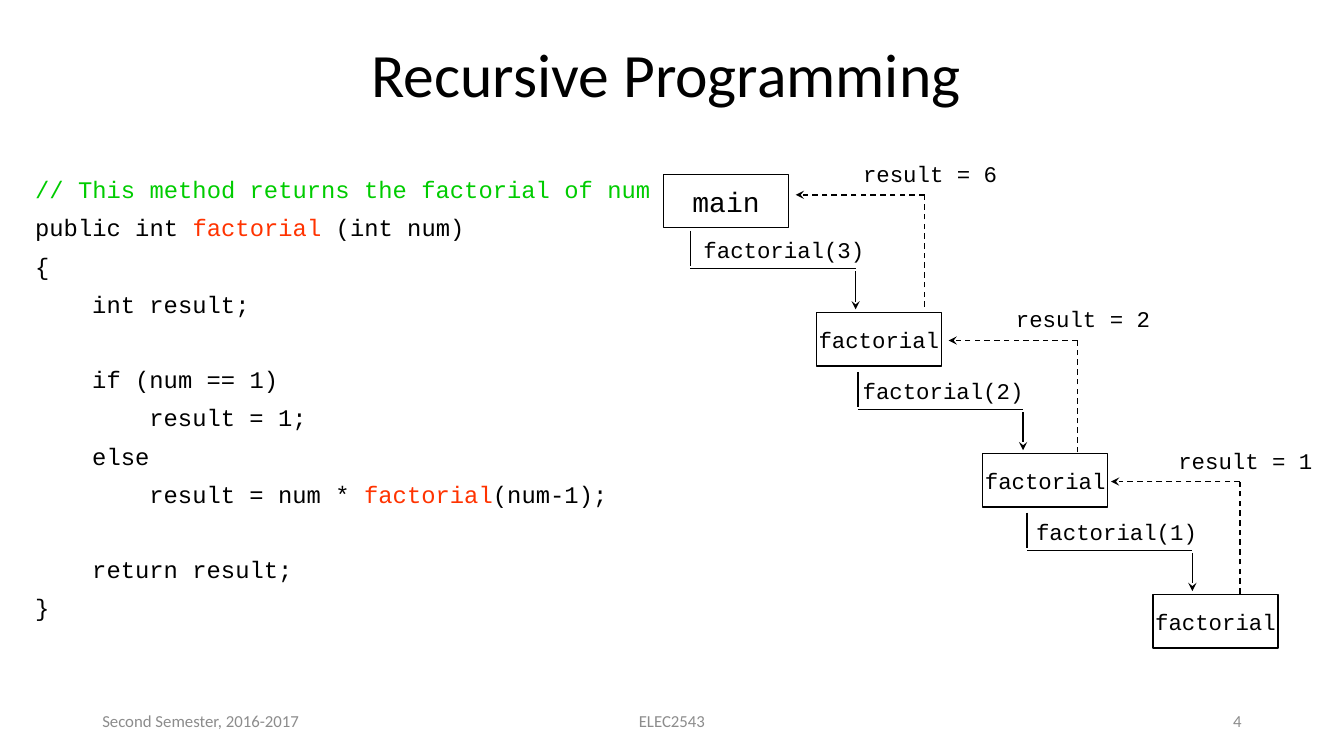
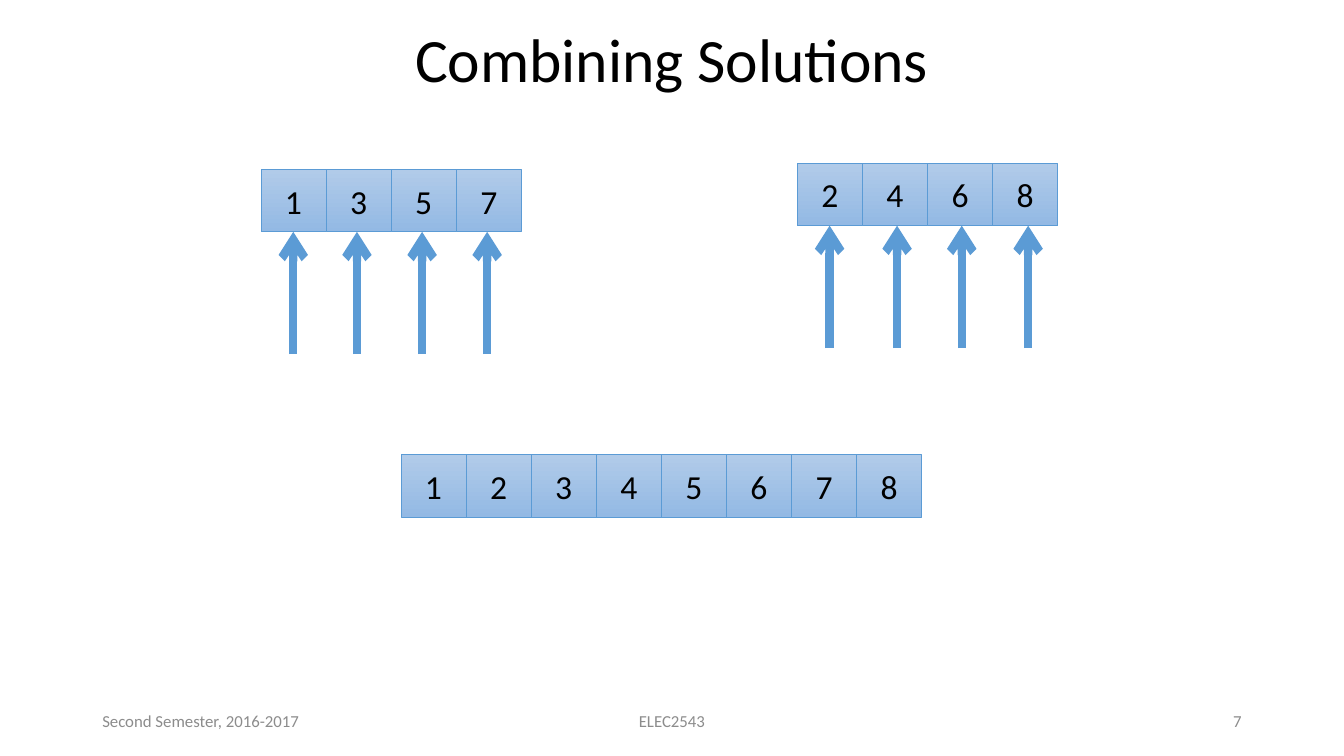
"""Build two lecture slides on recursion: a factorial call trace and a merge of sorted halves."""

from dataclasses import dataclass
from typing import NamedTuple, Optional

import lxml.etree
import pptx
import pptx.dml.color
import pptx.enum.dml
import pptx.enum.shapes
import pptx.enum.text
import pptx.oxml.ns
import pptx.shapes.autoshape
import pptx.shapes.connector
import pptx.shapes.shapetree
import pptx.slide
import pptx.text.text
import pptx.util

Pt = pptx.util.Pt
ALIGN = pptx.enum.text.PP_ALIGN
ANCHOR = pptx.enum.text.MSO_ANCHOR
DASH = pptx.enum.dml.MSO_LINE.DASH
RECTANGLE = pptx.enum.shapes.MSO_SHAPE.RECTANGLE
Shapes = pptx.shapes.shapetree.GroupShapes

SANS, MONO = "Calibri", "Courier New"
BLACK, GRAY, GREEN, RED, BLUE = "000000", "8C8C8C", "00CC00", "FF3300", "5B9BD5"
CELL_TOP, CELL_BOTTOM = "B1CBE9", "93B9E4"

CODE_SIZE = 17
CODE_INDENT = 40.8
LINE_GAP, BLANK_LINE_GAP = 11, 37.4
FRAME_WIDTH, FRAME_HEIGHT = 89.3, 38.2
CELL_WIDTH, CELL_HEIGHT = 46.5, 44.6


class Box(NamedTuple):
    left: float
    top: float
    width: float
    height: float


class Point(NamedTuple):
    x: float
    y: float


@dataclass(frozen=True)
class TextStyle:
    size: float
    font: str = SANS
    color: str = BLACK


@dataclass(frozen=True)
class LineStyle:
    color: str = BLACK
    width: float = 1
    dash: Optional[pptx.enum.dml.MSO_LINE] = None
    arrowhead: str = ""


@dataclass(frozen=True)
class CodeLine:
    level: int
    runs: tuple[tuple[str, str], ...]
    after_blank: bool = False


@dataclass(frozen=True)
class Frame:
    name: str
    left: float
    top: float
    size: float = 16


@dataclass(frozen=True)
class Call:
    text: str
    start: Point
    label_left: float


@dataclass(frozen=True)
class Return:
    text: str
    corner: Point


@dataclass(frozen=True)
class NumberRow:
    numbers: tuple[int, ...]
    left: float
    top: float
    arrow_positions: tuple[float, ...] = ()


TITLE_STYLE = TextStyle(44)
FOOTER_STYLE = TextStyle(12, color=GRAY)
LABEL_STYLE = TextStyle(16, MONO)
NUMBER_STYLE = TextStyle(24)
SOLID = LineStyle()
CALL_ARROW = LineStyle(arrowhead="stealth")
DASHED = LineStyle(dash=DASH)
RETURN_ARROW = LineStyle(dash=DASH, arrowhead="stealth")
POINTER = LineStyle(BLUE, 6, arrowhead="arrow")

CODE = (
    CodeLine(0, (("// This method returns the factorial of num", GREEN),)),
    CodeLine(0, (("public int ", BLACK), ("factorial ", RED), ("(int num)", BLACK))),
    CodeLine(0, (("{", BLACK),)),
    CodeLine(1, (("int result;", BLACK),)),
    CodeLine(1, (("if (num == 1)", BLACK),), after_blank=True),
    CodeLine(2, (("result = 1;", BLACK),)),
    CodeLine(1, (("else", BLACK),)),
    CodeLine(2, (("result = num * ", BLACK), ("factorial", RED), ("(num-1);", BLACK))),
    CodeLine(1, (("return result;", BLACK),), after_blank=True),
    CodeLine(0, (("}", BLACK),)),
)
FRAMES = (
    Frame("main", 474, 124.5, 20),
    Frame("factorial", 583.2, 223.2),
    Frame("factorial", 702, 324),
    Frame("factorial", 823.6, 424.8),
)
CALLS = (
    Call("factorial(3)", Point(493.2, 165), 495.4),
    Call("factorial(2)", Point(612.8, 265.6), 609.1),
    Call("factorial(1)", Point(733.7, 366.2), 733),
)
RETURNS = (
    Return("result = 6", Point(660.4, 139.2)),
    Return("result = 2", Point(769.6, 243.2)),
    Return("result = 1", Point(885.6, 344)),
)
NUMBER_ROWS = (
    NumberRow((1, 3, 5, 7), 186.4, 121, (209.5, 255, 301.5, 348)),
    NumberRow((2, 4, 6, 8), 569.5, 116.6, (592.6, 640.8, 687, 734.4)),
    NumberRow((1, 2, 3, 4, 5, 6, 7, 8), 286.4, 324.8),
)


def rgb(color: str) -> pptx.dml.color.RGBColor:
    return pptx.dml.color.RGBColor.from_string(color)


def lengths(box: Box) -> tuple[pptx.util.Length, ...]:
    return tuple(Pt(value) for value in box)


def add_run(paragraph: pptx.text.text._Paragraph, text: str, style: TextStyle) -> None:
    run = paragraph.add_run()
    run.text = text
    run.font.name = style.font
    run.font.size = Pt(style.size)
    run.font.color.rgb = rgb(style.color)


def write_line(frame: pptx.text.text.TextFrame, text: str, style: TextStyle,
               alignment: ALIGN = ALIGN.CENTER, wrap: bool = True) -> None:
    frame.word_wrap = wrap
    frame.vertical_anchor = ANCHOR.MIDDLE
    frame.paragraphs[0].alignment = alignment
    add_run(frame.paragraphs[0], text, style)


def add_label(shapes: Shapes, text: str, box: Box, style: TextStyle,
              alignment: ALIGN = ALIGN.LEFT, wrap: bool = True) -> None:
    write_line(shapes.add_textbox(*lengths(box)).text_frame, text, style, alignment, wrap)


def add_rectangle(shapes: Shapes, box: Box, line: LineStyle) -> pptx.shapes.autoshape.Shape:
    rectangle = shapes.add_shape(RECTANGLE, *lengths(box))
    rectangle.shadow.inherit = False
    rectangle.fill.background()
    rectangle.line.color.rgb = rgb(line.color)
    rectangle.line.width = Pt(line.width)
    return rectangle


def add_line(shapes: Shapes, start: Point, end: Point, style: LineStyle) -> None:
    connector = shapes.add_connector(
        pptx.enum.shapes.MSO_CONNECTOR.STRAIGHT,
        Pt(start.x), Pt(start.y), Pt(end.x), Pt(end.y))
    connector.line.color.rgb = rgb(style.color)
    connector.line.width = Pt(style.width)
    if style.dash:
        connector.line.dash_style = style.dash
    if style.arrowhead:
        tail = lxml.etree.SubElement(connector.get_or_add_ln(), pptx.oxml.ns.qn("a:tailEnd"))
        tail.set("type", style.arrowhead)
    lxml.etree.SubElement(connector.element.spPr, pptx.oxml.ns.qn("a:effectLst"))


def add_titled_slide(presentation: pptx.presentation.Presentation, title: str,
                     title_box: Box, number: int) -> pptx.slide.Slide:
    slide = presentation.slides.add_slide(presentation.slide_layouts.get_by_name("Title Only"))
    placeholder = slide.shapes.title
    placeholder.left, placeholder.top, placeholder.width, placeholder.height = lengths(title_box)
    placeholder.text_frame.auto_size = pptx.enum.text.MSO_AUTO_SIZE.NONE
    placeholder.text_frame.paragraphs[0].line_spacing = 0.9
    write_line(placeholder.text_frame, title, TITLE_STYLE)
    for text, left, width, alignment in (
        ("Second Semester, 2016-2017", 66, 216, ALIGN.LEFT),
        ("ELEC2543", 318, 324, ALIGN.CENTER),
        (str(number), 678, 216, ALIGN.RIGHT),
    ):
        add_label(slide.shapes, text, Box(left, 500.5, width, 28.8), FOOTER_STYLE, alignment)
    return slide


def add_code(slide: pptx.slide.Slide, box: Box) -> None:
    frame = slide.shapes.add_textbox(*lengths(box)).text_frame
    frame.word_wrap = True
    frame.margin_left = Pt(7.2)
    for index, line in enumerate(CODE):
        paragraph = frame.add_paragraph() if index else frame.paragraphs[0]
        paragraph.line_spacing = 0.8
        if index:
            paragraph.space_before = Pt(BLANK_LINE_GAP if line.after_blank else LINE_GAP)
        properties = paragraph._p.get_or_add_pPr()
        properties.set("marL", str(Pt(CODE_INDENT * line.level)))
        for text, color in line.runs:
            add_run(paragraph, text, TextStyle(CODE_SIZE, MONO, color))


def add_frame(shapes: Shapes, frame: Frame) -> None:
    box = Box(frame.left, frame.top, FRAME_WIDTH, FRAME_HEIGHT)
    rectangle = add_rectangle(shapes, box, SOLID)
    write_line(rectangle.text_frame, frame.name, TextStyle(frame.size, MONO), wrap=False)


def add_call(shapes: Shapes, call: Call) -> None:
    x, y = call.start
    end_x = x + 118
    add_line(shapes, call.start, Point(x, y + 25.2), SOLID)
    add_line(shapes, Point(x, y + 27), Point(end_x, y + 27), SOLID)
    add_line(shapes, Point(end_x, y + 28.8), Point(end_x, y + 56), CALL_ARROW)
    add_label(shapes, call.text, Box(call.label_left, y, 131, 26.6), LABEL_STYLE, wrap=False)


def add_return(shapes: Shapes, result: Return) -> None:
    x, y = result.corner
    add_line(shapes, Point(x, y + 80), result.corner, DASHED)
    add_line(shapes, result.corner, Point(x - 92, y), RETURN_ARROW)
    add_label(shapes, result.text, Box(x - 51, y - 28.6, 111.6, 26.6), LABEL_STYLE, wrap=False)


def add_number_row(slide: pptx.slide.Slide, row: NumberRow) -> None:
    cells = slide.shapes.add_group_shape().shapes
    for index, number in enumerate(row.numbers):
        box = Box(row.left + index * CELL_WIDTH, row.top, CELL_WIDTH, CELL_HEIGHT)
        cell = add_rectangle(cells, box, LineStyle(BLUE, 0.5))
        cell.fill.gradient()
        cell.fill.gradient_angle = 270
        for stop, color in zip(cell.fill.gradient_stops, (CELL_TOP, CELL_BOTTOM)):
            stop.color.rgb = rgb(color)
        write_line(cell.text_frame, str(number), NUMBER_STYLE)
    tip = row.top + CELL_HEIGHT
    for x in row.arrow_positions:
        add_line(slide.shapes, Point(x, tip + 87.4), Point(x, tip), POINTER)


def build_recursion_slide(presentation: pptx.presentation.Presentation) -> None:
    slide = add_titled_slide(presentation, "Recursive Programming", Box(62, 3, 828, 104.4), 4)
    add_code(slide, Box(18, 125.3, 459.4, 314))
    diagram = slide.shapes.add_group_shape().shapes
    for frame in FRAMES:
        add_frame(diagram, frame)
    for call in CALLS:
        add_call(diagram, call)
    for result in RETURNS:
        add_return(diagram, result)


def build_merge_slide(presentation: pptx.presentation.Presentation) -> None:
    slide = add_titled_slide(presentation, "Combining Solutions", Box(156, 0, 648, 90), 7)
    for row in NUMBER_ROWS:
        add_number_row(slide, row)


def main() -> None:
    presentation = pptx.Presentation()
    presentation.slide_width, presentation.slide_height = Pt(960), Pt(540)
    build_recursion_slide(presentation)
    build_merge_slide(presentation)
    presentation.save("out.pptx")


main()
